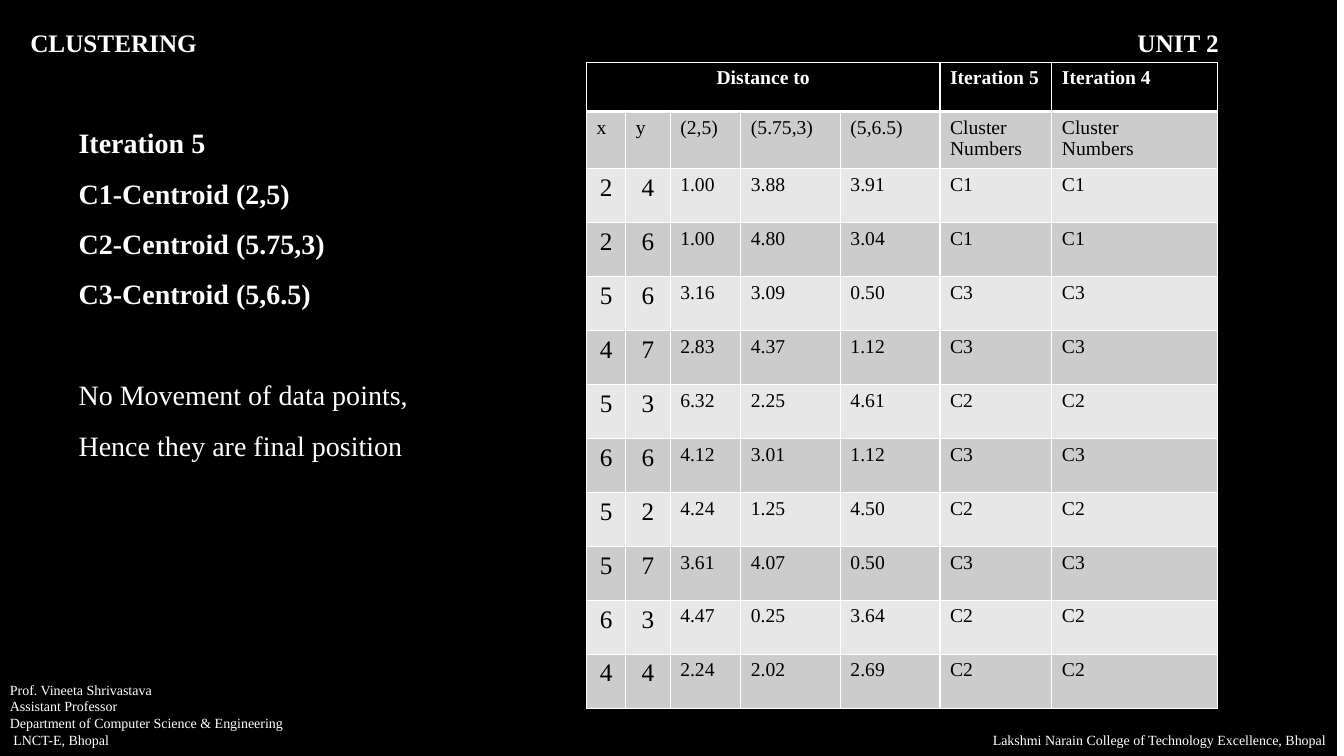
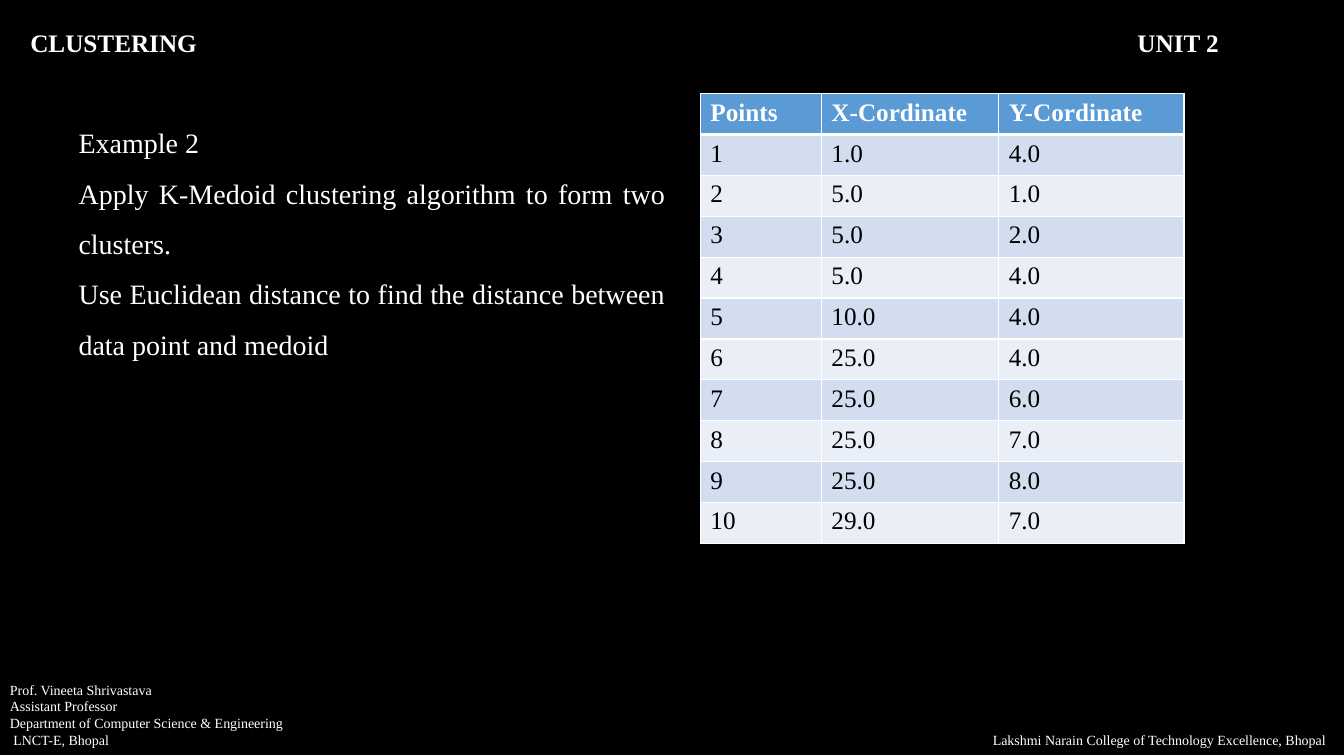
from lxml import etree
from pptx import Presentation
from pptx.dml.color import RGBColor
from pptx.enum.shapes import MSO_SHAPE as SHAPE
from pptx.enum.text import MSO_ANCHOR as ANCHOR, PP_ALIGN as ALIGN
from pptx.oxml.ns import qn
from pptx.util import Cm, Pt

BLACK = RGBColor(0x00, 0x00, 0x00)
WHITE = RGBColor(0xFF, 0xFF, 0xFF)
GREY = RGBColor(0xCC, 0xCC, 0xCC)
LIGHT_GREY = RGBColor(0xE7, 0xE7, 0xE7)
BLUE = RGBColor(0x5B, 0x9B, 0xD5)
PALE_BLUE = RGBColor(0xD2, 0xDE, 0xEF)
LIGHT_BLUE = RGBColor(0xEA, 0xEF, 0xF7)

FONT = "Times New Roman"
WIDTH, HEIGHT = 33.87, 19.05
UNIT_TAB = 27.9

AUTHOR = ["Prof. Vineeta Shrivastava", "Assistant Professor",
          "Department of Computer Science & Engineering", " LNCT-E, Bhopal"]
COLLEGE = ["Lakshmi Narain College of Technology Excellence, Bhopal"]

DISTANCES = [
    ("x", "y", "(2,5)", "(5.75,3)", "(5,6.5)", "Cluster\nNumbers", "Cluster\nNumbers"),
    ("2", "4", "1.00", "3.88", "3.91", "C1", "C1"),
    ("2", "6", "1.00", "4.80", "3.04", "C1", "C1"),
    ("5", "6", "3.16", "3.09", "0.50", "C3", "C3"),
    ("4", "7", "2.83", "4.37", "1.12", "C3", "C3"),
    ("5", "3", "6.32", "2.25", "4.61", "C2", "C2"),
    ("6", "6", "4.12", "3.01", "1.12", "C3", "C3"),
    ("5", "2", "4.24", "1.25", "4.50", "C2", "C2"),
    ("5", "7", "3.61", "4.07", "0.50", "C3", "C3"),
    ("6", "3", "4.47", "0.25", "3.64", "C2", "C2"),
    ("4", "4", "2.24", "2.02", "2.69", "C2", "C2"),
]
POINTS = [
    ("1", "1.0", "4.0"), ("2", "5.0", "1.0"), ("3", "5.0", "2.0"),
    ("4", "5.0", "4.0"), ("5", "10.0", "4.0"), ("6", "25.0", "4.0"),
    ("7", "25.0", "6.0"), ("8", "25.0", "7.0"), ("9", "25.0", "8.0"),
    ("10", "29.0", "7.0"),
]


def write(p, text, size, color=WHITE, bold=False, align=ALIGN.LEFT, spacing=None):
    r = p.add_run()
    r.text = text
    r.font.name, r.font.size, r.font.bold = FONT, Pt(size), bold
    r.font.color.rgb = color
    p.alignment = align
    if spacing:
        p.line_spacing = spacing


def write_lines(tf, lines, size, **fmt):
    """Write one paragraph for each line."""
    for i, line in enumerate(lines):
        p = tf.add_paragraph() if i else tf.paragraphs[0]
        write(p, line, size, **fmt)


def add_text(s, box, lines, size, **fmt):
    tf = s.shapes.add_textbox(*map(Cm, box)).text_frame
    tf.word_wrap = True
    write_lines(tf, lines, size, **fmt)
    return tf


def add_backdrop(s, left, top):
    sp = s.shapes.add_shape(SHAPE.RECTANGLE, Cm(left), Cm(top), Cm(WIDTH), Cm(HEIGHT))
    sp.shadow.inherit = False
    sp.fill.solid()
    sp.fill.fore_color.rgb = BLACK
    sp.line.color.rgb = BLACK
    sp.line.width = Pt(1)
    sp.element.getparent().insert(2, sp.element)  # behind the title


def set_title(s, topic, unit):
    """Put the topic at the left and the unit at a tab stop."""
    title = s.shapes.title
    title.left, title.top, title.width, title.height = map(Cm, (0.51, 0.56, 32.87, 1.02))
    tf = title.text_frame
    tf.vertical_anchor = ANCHOR.TOP
    tf.word_wrap = True
    p = tf.paragraphs[0]
    write(p, f"{topic}\t{unit}", 18, bold=True, spacing=1.0)
    tabs = etree.SubElement(p._p.get_or_add_pPr(), qn("a:tabLst"))
    etree.SubElement(tabs, qn("a:tab"), pos=str(Cm(UNIT_TAB)), algn="l")


def add_slide(prs, left=0, top=0):
    """Add a slide with the shared backdrop, title and footers."""
    s = prs.slides.add_slide(prs.slide_layouts[5])
    add_backdrop(s, left, top)
    set_title(s, "CLUSTERING", "UNIT 2")
    add_text(s, (0, 17.04, 8.81, 1.96), AUTHOR, 10)
    add_text(s, (24.77, 18.31, 9.09, 0.69), COLLEGE, 10)
    return s


def set_borders(cell, top, bottom):
    """Draw white borders; top and bottom are widths in points."""
    tc_pr = cell._tc.get_or_add_tcPr()
    for side, width in (("L", 1), ("R", 1), ("T", top), ("B", bottom)):
        ln = etree.SubElement(tc_pr, qn(f"a:ln{side}"), w=str(Pt(width)))
        fill = etree.SubElement(ln, qn("a:solidFill"))
        etree.SubElement(fill, qn("a:srgbClr"), val=str(WHITE))


def add_table(s, left, top, widths, heights, rows, size, head_fill, bands,
              big_cols=0, head_span=1):
    """Add a banded table; the first big_cols columns have larger, centred figures."""
    frame = s.shapes.add_table(len(rows), len(widths), Cm(left), Cm(top),
                               Cm(sum(widths)), Cm(sum(heights)))
    table = frame.table
    for col, width in zip(table.columns, widths):
        col.width = Cm(width)
    for row, height in zip(table.rows, heights):
        row.height = Cm(height)
    for i, row in enumerate(rows):
        head = i == 0
        for j, text in enumerate(row):
            cell = table.cell(i, j)
            set_borders(cell, top=3 if i == 1 else 1, bottom=3 if head else 1)
            cell.fill.solid()
            cell.fill.fore_color.rgb = head_fill if head else bands[(i - 1) % 2]
            if not text:
                continue
            big = j < big_cols and text.isdigit()
            centred = big or (head and j == 0 and head_span > 1)
            write_lines(cell.text_frame, text.split("\n"), 18 if big else size,
                        color=WHITE if head else BLACK, bold=head,
                        align=ALIGN.CENTER if centred else ALIGN.LEFT)
    if head_span > 1:
        table.cell(0, 0).merge(table.cell(0, head_span - 1))


def add_iteration_slide(prs):
    s = add_slide(prs, left=-0.18)
    body = {"align": ALIGN.JUSTIFY, "spacing": 1.5}
    tf = add_text(s, (1.73, 2.62, 30.43, 9.25),
                  ["Iteration 5", "C1-Centroid (2,5)", "C2-Centroid (5.75,3)",
                   "C3-Centroid (5,6.5)"], 20, bold=True, **body)
    for line, gap in (("No Movement of data points,", 36),
                      ("Hence they are final position", 0)):
        p = tf.add_paragraph()
        write(p, line, 20, **body)
        p.space_before = Pt(gap)
    head = ("Distance to", "", "", "", "", "Iteration 5", "Iteration 4")
    add_table(s, 14.78, 1.57, [0.99, 1.12, 1.78, 2.51, 2.51, 2.82, 4.17],
              [1.24, 1.39] + [1.36] * 10, [head] + DISTANCES, 14, BLACK,
              (GREY, LIGHT_GREY), big_cols=2, head_span=5)


def add_example_slide(prs):
    s = add_slide(prs, top=-0.05)
    add_text(s, (1.73, 2.62, 15.29, 7.95),
             ["Example 2",
              "Apply K-Medoid clustering algorithm to form two clusters.",
              "Use Euclidean distance to find the distance between data point and medoid"],
             20, align=ALIGN.JUSTIFY, spacing=1.5)
    head = ("Points", "X-Cordinate", "Y-Cordinate")
    add_table(s, 17.65, 2.36, [3.05, 4.47, 4.67], [1.03] * 11, [head] + POINTS,
              18, BLUE, (PALE_BLUE, LIGHT_BLUE))


def main():
    prs = Presentation()
    prs.slide_width, prs.slide_height = Cm(WIDTH), Cm(HEIGHT)
    add_iteration_slide(prs)
    add_example_slide(prs)
    prs.save("out.pptx")


if __name__ == "__main__":
    main()
